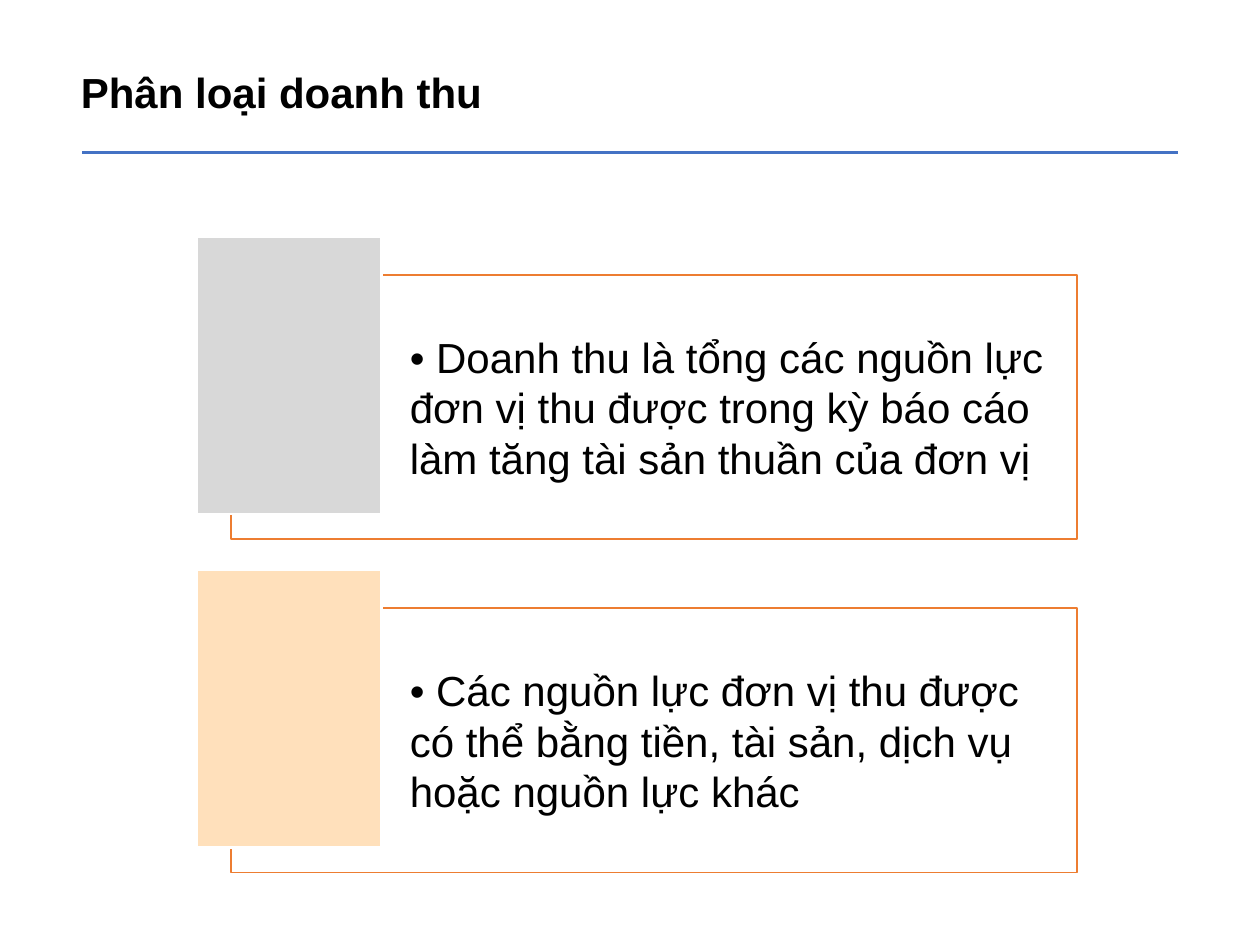
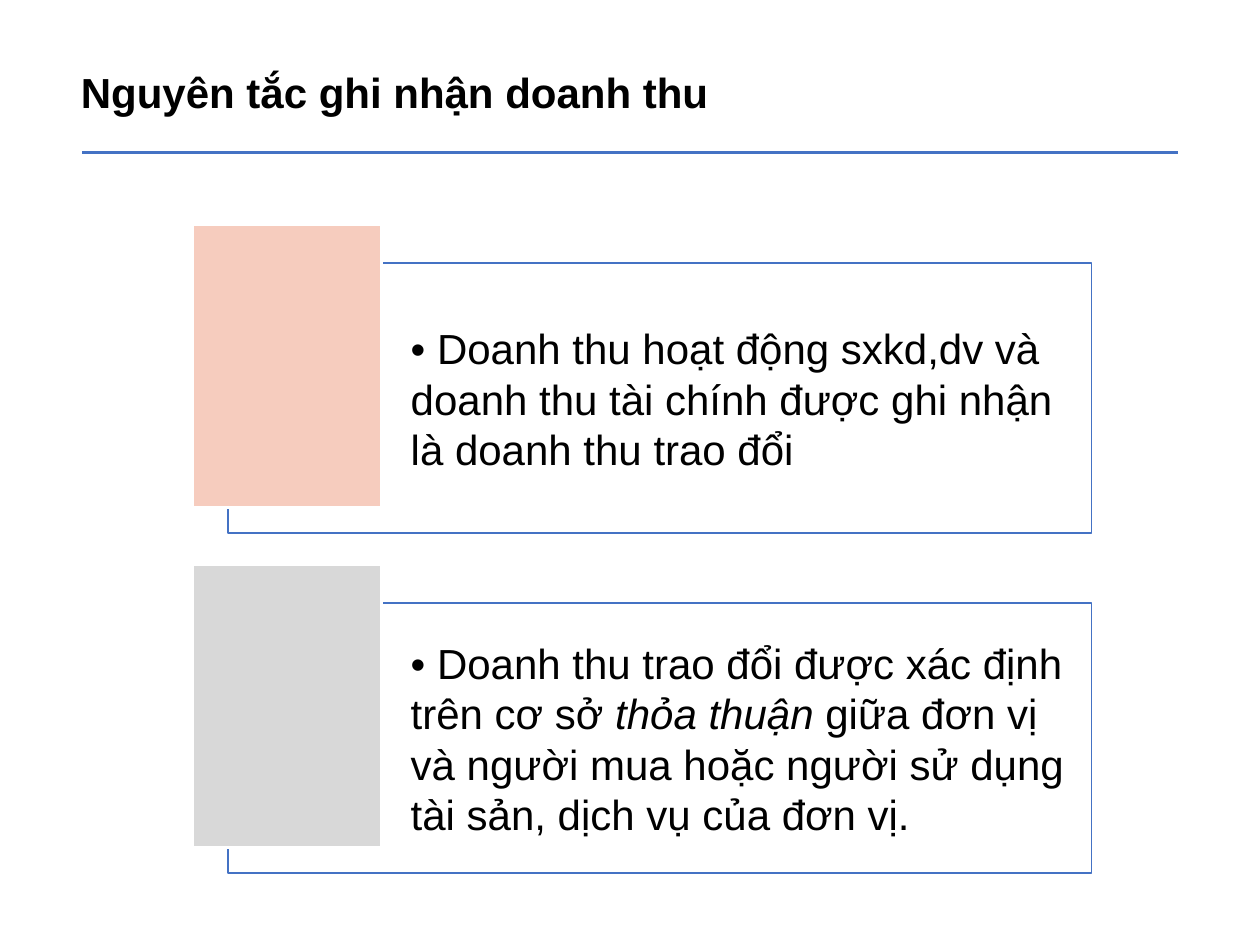
from lxml import etree
from pptx import Presentation
from pptx.dml.color import RGBColor
from pptx.enum.shapes import MSO_CONNECTOR, MSO_SHAPE
from pptx.enum.text import MSO_ANCHOR, MSO_AUTO_SIZE, PP_ALIGN
from pptx.oxml.ns import qn
from pptx.util import Pt

LINE, RECT = MSO_CONNECTOR.STRAIGHT, MSO_SHAPE.RECTANGLE
TOP, MIDDLE, LEFT = MSO_ANCHOR.TOP, MSO_ANCHOR.MIDDLE, PP_ALIGN.LEFT
FIXED = MSO_AUTO_SIZE.NONE

FONT, SIZE = "Arial", 24
TITLE_ONLY = 5
COLORS = {
    "text": "000000", "white": "FFFFFF", "blue": "4472C4",
    "orange": "ED7D31", "gray": "D8D8D8", "peach": "FFE0BB",
    "pink": "F6CCBE",
}

# Card sizes as shares of the frame height
WIDE, PITCH = 3.2, 1.26
TAB_W, TAB_H, TAB_X, TAB_Y = 0.7, 1.05, 0.13, 0.145
INDENT = 0.677

# Each text is a list of (words, italic) runs
SLIDES = [
    {
        "title": "Phân loại doanh thu", "width": 256, "edge": "orange",
        "at": (131.8, 157), "height": 151.2,
        "cards": [
            ("gray", [("• Doanh thu là tổng các nguồn lực đơn vị thu được "
                       "trong kỳ báo cáo làm tăng tài sản thuần của đơn vị",
                       False)]),
            ("peach", [("• Các nguồn lực đơn vị thu được có thể bằng tiền, "
                        "tài sản, dịch vụ hoặc nguồn lực khác", False)]),
        ],
    },
    {
        "title": "Nguyên tắc ghi nhận doanh thu", "width": 383, "edge": "blue",
        "at": (130.3, 150.5), "height": 154.2,
        "cards": [
            ("pink", [("• Doanh thu hoạt động sxkd,dv và doanh thu tài chính "
                       "được ghi nhận là doanh thu trao đổi", False)]),
            ("gray", [("• Doanh thu trao đổi được xác định trên cơ sở ", False),
                      ("thỏa thuận", True),
                      (" giữa đơn vị và người mua hoặc người sử dụng tài sản, "
                       "dịch vụ của đơn vị.", False)]),
        ],
    },
]


def color(name):
    return RGBColor.from_string(COLORS[name])


def style(par, bold=False):
    par.alignment = LEFT
    par.font.name, par.font.size, par.font.bold = FONT, Pt(SIZE), bold
    par.font.color.rgb = color("text")


def add_rect(slide, x, y, w, h, fill, edge, weight):
    box = slide.shapes.add_shape(RECT, Pt(x), Pt(y), Pt(w), Pt(h))
    box.shadow.inherit = False
    box.fill.solid()
    box.fill.fore_color.rgb = color(fill)
    box.line.color.rgb = color(edge)
    box.line.width = Pt(weight)
    return box


def add_head(slide, text, width):
    # Title
    title = slide.shapes.title
    title.left, title.top = Pt(39), Pt(34.6)
    title.width, title.height = Pt(width), Pt(36)
    frame = title.text_frame
    frame.text = text
    frame.word_wrap, frame.auto_size = False, FIXED
    frame.vertical_anchor = TOP
    style(frame.paragraphs[0], bold=True)
    # Rule below the title
    rule = slide.shapes.add_connector(LINE, Pt(47), Pt(87), Pt(673), Pt(87))
    rule.line.color.rgb = color("blue")
    rule.line.width = Pt(1.5)
    etree.SubElement(rule._element.spPr, qn("a:effectLst"))


def add_card(slide, x, y, h, edge, tint, runs):
    # Frame with text
    card = add_rect(slide, x, y, WIDE * h, h, "white", edge, 1)
    fill = card._element.spPr.find(qn("a:solidFill"))
    etree.SubElement(fill[0], qn("a:alpha"), val="40000")
    frame = card.text_frame
    frame.word_wrap, frame.vertical_anchor = True, MIDDLE
    frame.margin_left = Pt(INDENT * h)
    frame.margin_right = frame.margin_top = frame.margin_bottom = Pt(7.2)
    par = frame.paragraphs[0]
    style(par)
    for words, italic in runs:
        run = par.add_run()
        run.text = words
        if italic:
            run.font.italic = True
    # Colour tab over the left corner
    add_rect(slide, x - TAB_X * h, y - TAB_Y * h, TAB_W * h, TAB_H * h,
             tint, "white", 1.5)


def add_slide(deck, data):
    slide = deck.slides.add_slide(deck.slide_layouts[TITLE_ONLY])
    add_head(slide, data["title"], data["width"])
    (x, y), h = data["at"], data["height"]
    for row, (tint, runs) in enumerate(data["cards"]):
        add_card(slide, x, y + row * PITCH * h, h, data["edge"], tint, runs)


def main():
    deck = Presentation()
    deck.slide_width, deck.slide_height = Pt(720), Pt(540)
    for data in SLIDES:
        add_slide(deck, data)
    deck.save("out.pptx")


if __name__ == "__main__":
    main()
